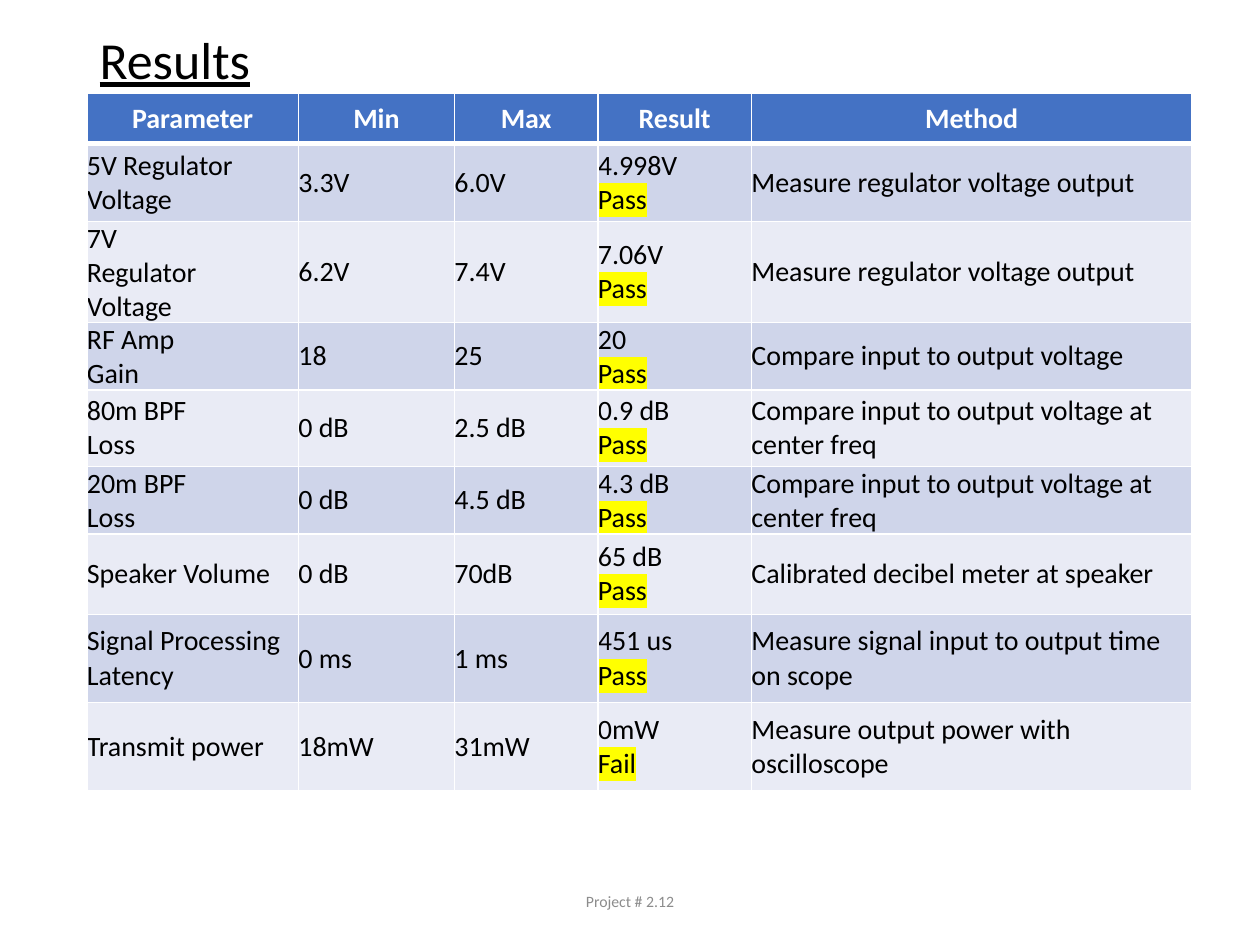
from lxml import etree
from pptx import Presentation
from pptx.dml.color import RGBColor
from pptx.enum.text import MSO_ANCHOR, MSO_AUTO_SIZE, PP_ALIGN
from pptx.oxml.ns import qn
from pptx.util import Inches, Pt

MIDDLE = MSO_ANCHOR.MIDDLE
LEFT, CENTER = PP_ALIGN.LEFT, PP_ALIGN.CENTER
NO_AUTOFIT = MSO_AUTO_SIZE.NONE
TITLE_ONLY = 5

FONT = "Calibri"
BLACK, WHITE, GRAY, YELLOW = "000000", "FFFFFF", "8C8C8C", "FFFF00"
HEADER_FILL = "4472C4"
BAND_FILLS = ("CFD5EA", "E9EBF5")
THIN, THICK = 1, 3

SLIDE_WIDTH, SLIDE_HEIGHT = Inches(10), Inches(7.5)
TITLE_BOX = (0.69, 0.26, 8.65, 0.48)
TABLE_BOX = (0.69, 0.74, 8.77, 5.17)
FOOTER_BOX = (3.31, 6.95, 3.38, 0.4)
COLUMN_WEIGHTS = (1.68, 1.24, 1.14, 1.22, 3.5)
ROW_WEIGHTS = (0.4, 0.62, 0.53, 0.47, 0.61, 0.5, 0.64, 0.7, 0.7)

HEADINGS = ("Parameter", "Min", "Max", "Result", "Method")
# parameter lines, minimum, maximum, measured value, verdict, method
TESTS = (
    (("5V Regulator", "Voltage"), "3.3V", "6.0V", "4.998V", "Pass",
     "Measure regulator voltage output"),
    (("7V", "Regulator", "Voltage"), "6.2V", "7.4V", "7.06V", "Pass",
     "Measure regulator voltage output"),
    (("RF Amp", "Gain"), "18", "25", "20", "Pass",
     "Compare input to output voltage"),
    (("80m BPF", "Loss"), "0 dB", "2.5 dB", "0.9 dB", "Pass",
     "Compare input to output voltage at center freq"),
    (("20m BPF", "Loss"), "0 dB", "4.5 dB", "4.3 dB", "Pass",
     "Compare input to output voltage at center freq"),
    (("Speaker Volume",), "0 dB", "70dB", "65 dB", "Pass",
     "Calibrated decibel meter at speaker"),
    (("Signal Processing", "Latency"), "0 ms", "1 ms", "451 us", "Pass",
     "Measure signal input to output time on scope"),
    (("Transmit power",), "18mW", "31mW", "0mW", "Fail",
     "Measure output power with oscilloscope"),
)


def rgb(value):
    return RGBColor.from_string(value)


def place(shape, box):
    shape.left, shape.top, shape.width, shape.height = map(Inches, box)


def add_run(paragraph, text, size, color, bold=False):
    run = paragraph.add_run()
    run.text = text
    run.font.name = FONT
    run.font.size = Pt(size)
    run.font.bold = bold
    run.font.color.rgb = rgb(color)
    return run


def highlight(run, color):
    """Mark the run; the highlight element must follow the text fill."""
    mark = etree.Element(qn("a:highlight"))
    etree.SubElement(mark, qn("a:srgbClr"), val=color)
    run.font.fill._xPr.find(qn("a:solidFill")).addnext(mark)


def add_borders(cell, top, bottom):
    """Draw white cell borders; call before the fill is set."""
    properties = cell._tc.get_or_add_tcPr()
    for side, width in (("L", THIN), ("R", THIN), ("T", top), ("B", bottom)):
        line = etree.SubElement(properties, qn(f"a:ln{side}"), w=str(Pt(width)))
        fill = etree.SubElement(line, qn("a:solidFill"))
        etree.SubElement(fill, qn("a:srgbClr"), val=WHITE)


def format_cell(cell, fill, top=THIN, bottom=THIN):
    add_borders(cell, top, bottom)
    cell.fill.solid()
    cell.fill.fore_color.rgb = rgb(fill)
    cell.vertical_anchor = MIDDLE
    cell.margin_left = cell.margin_right = 0
    cell.margin_top = cell.margin_bottom = 0


def write_lines(cell, lines, color=BLACK, bold=False, align=LEFT):
    """Write one paragraph per line and return the last run."""
    for index, text in enumerate(lines):
        frame = cell.text_frame
        paragraph = frame.add_paragraph() if index else frame.paragraphs[0]
        paragraph.alignment = align
        run = add_run(paragraph, text, 16, color, bold)
    return run


def add_title(slide, box):
    title = slide.shapes.title
    place(title, box)
    frame = title.text_frame
    frame.auto_size = NO_AUTOFIT
    frame.vertical_anchor = MIDDLE
    paragraph = frame.paragraphs[0]
    paragraph.alignment = LEFT
    paragraph.line_spacing = 0.9
    add_run(paragraph, "Results", 29.7, BLACK).font.underline = True


def add_results_table(slide, box):
    left, top, width, height = map(Inches, box)
    table = slide.shapes.add_table(
        len(TESTS) + 1, len(HEADINGS), left, top, width, height).table
    for column, weight in zip(table.columns, COLUMN_WEIGHTS):
        column.width = int(width * weight / sum(COLUMN_WEIGHTS))
    for row, weight in zip(table.rows, ROW_WEIGHTS):
        row.height = int(height * weight / sum(ROW_WEIGHTS))

    for cell, heading in zip(table.rows[0].cells, HEADINGS):
        format_cell(cell, HEADER_FILL, bottom=THICK)
        write_lines(cell, [heading], WHITE, True, CENTER)

    for index, test in enumerate(TESTS):
        parameter, minimum, maximum, value, verdict, method = test
        contents = (parameter, [minimum], [maximum], [value, verdict], [method])
        for heading, cell, lines in zip(
                HEADINGS, table.rows[index + 1].cells, contents):
            format_cell(cell, BAND_FILLS[index % 2],
                        top=THIN if index else THICK)
            last_run = write_lines(cell, lines)
            if heading == "Result":
                highlight(last_run, YELLOW)


def add_footer(slide, box):
    footer = slide.shapes.add_textbox(*map(Inches, box))
    frame = footer.text_frame
    frame.word_wrap = True
    frame.vertical_anchor = MIDDLE
    paragraph = frame.paragraphs[0]
    paragraph.alignment = CENTER
    add_run(paragraph, "Project # 2.12", 9, GRAY)


def main():
    presentation = Presentation()
    presentation.slide_width = SLIDE_WIDTH
    presentation.slide_height = SLIDE_HEIGHT
    slide = presentation.slides.add_slide(presentation.slide_layouts[TITLE_ONLY])
    add_title(slide, TITLE_BOX)
    add_footer(slide, FOOTER_BOX)
    add_results_table(slide, TABLE_BOX)
    presentation.save("out.pptx")


if __name__ == "__main__":
    main()
